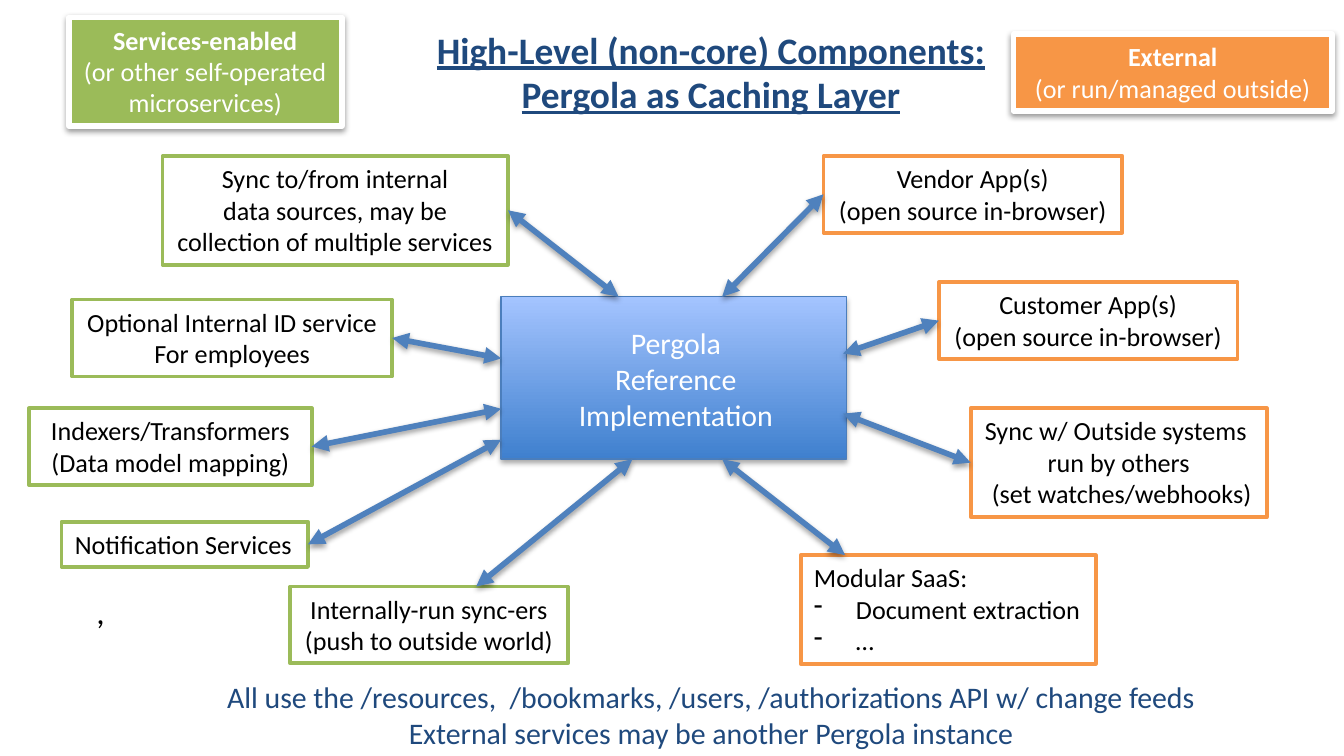
from lxml import etree
from pptx import Presentation
from pptx import util as u
from pptx.dml.color import RGBColor
from pptx.enum import shapes, text
from pptx.oxml.ns import qn

THEME = {
    "font": "Calibri",
    "white": "FFFFFF", "black": "000000", "navy": "1F497D",
    "green": "9BBB59", "orange": "F79646", "arrow": "4F81BD",
    "hub_line": "4B7EBC", "hub_bottom": "3F80CE", "hub_top": "A4C4FF",
    "title": 20, "mark": 18, "large": 16, "body": 14,
}

# Boxes and ports: all lengths in points; a port is a fraction of width and height.
HUB = (268.5, 159, 185, 87)
HUB_LINES = ["Pergola", "Reference", "Implementation"]
LEFT, RIGHT = (0, 0.5), (1, 0.5)

# colour, box, lines, port on the box, port on the hub
SERVICES = [
    ("green", (87.1, 83.5, 185, 58.3),
     ["Sync to/from internal", " data sources, may be ", "collection of multiple services"],
     RIGHT, (0.34, 0)),
    ("green", (38.7, 160.5, 171.4, 41.2),
     ["Optional Internal ID service", "For employees"], RIGHT, (0, 0.38)),
    ("green", (15.6, 218.7, 151.4, 41.2),
     ["Indexers/Transformers", "(Data model mapping)"], RIGHT, (0, 0.69)),
    ("green", (33, 279.5, 132, 24.3), ["Notification Services"], RIGHT, (0, 0.88)),
    ("green", (155.5, 314.2, 148.7, 41.2),
     ["Internally-run sync-ers", "(push to outside world)"], (0.67, 0), (0.38, 1)),
    ("orange", (441.2, 83.5, 160, 41.2),
     ["Vendor App(s)", "(open source in-browser)"], LEFT, (0.64, 0)),
    ("orange", (503, 151.2, 160, 41.2),
     ["Customer App(s)", "(open source in-browser)"], LEFT, (0.99, 0.35)),
    ("orange", (520, 218.7, 158.7, 58.3),
     ["Sync w/ Outside systems ", "run by others", " (set watches/webhooks)"],
     LEFT, (0.99, 0.72)),
    ("orange", (429, 297.4, 158, 58.3),
     ["Modular SaaS:", "- Document extraction", "- …"], (0.15, 0), (0.64, 1)),
]
LEFT_ALIGNED = {"Notification Services", "Modular SaaS:"}

LEGENDS = [
    ("green", (36.9, 9.3, 146.2, 58.3),
     ["Services-enabled", "(or other self-operated", "microservices)"]),
    ("orange", (543, 18.3, 170.6, 41.2), ["External", "(or run/managed outside)"]),
]
TITLE = ["High-Level (non-core) Components:", "Pergola as Caching Layer"]
FOOTER = ["All use the /resources,  /bookmarks, /users, /authorizations API w/ change feeds",
          "External services may be another Pergola instance"]


def rgb(name):
    return RGBColor.from_string(THEME[name])


def points(values):
    return [u.Pt(value) for value in values]


def set_effects(item, opacity=0, distance=1.6):
    """Replace the theme's shadow: none at opacity 0, else one falling straight down."""
    effects = etree.SubElement(item._element.spPr, qn("a:effectLst"))
    if opacity:
        shadow = etree.SubElement(effects, qn("a:outerShdw"), blurRad=str(u.Pt(3.1)),
                                  dist=str(u.Pt(distance)), dir="5400000", rotWithShape="0")
        color = etree.SubElement(shadow, qn("a:srgbClr"), val=THEME["black"])
        etree.SubElement(color, qn("a:alpha"), val=str(opacity * 1000))


def set_dash_bullet(para):
    props = para._p.get_or_add_pPr()
    props.set("marL", str(u.Pt(22.5)))
    props.set("indent", str(-u.Pt(22.5)))
    etree.SubElement(props, qn("a:buChar"), char="-")


def write(shape, lines, size, color, centered=True, wrap=False, bold_first=False):
    frame = shape.text_frame
    frame.word_wrap = wrap
    frame.vertical_anchor = text.MSO_ANCHOR.TOP
    for index, line in enumerate(lines):
        para = frame.paragraphs[0] if index == 0 else frame.add_paragraph()
        para.alignment = text.PP_ALIGN.CENTER if centered else text.PP_ALIGN.LEFT
        para.font.name = THEME["font"]
        para.font.size = u.Pt(THEME[size])
        para.font.color.rgb = rgb(color)
        para.font.bold = bold_first and index == 0
        if line.startswith("- "):
            set_dash_bullet(para)
        para.add_run().text = line.removeprefix("- ")


def add_text(page, box, *args, **options):
    shape = page.shapes.add_textbox(*points(box))
    write(shape, *args, **options)
    return shape


def add_box(page, box, fill, line, width):
    shape = page.shapes.add_shape(shapes.MSO_SHAPE.RECTANGLE, *points(box))
    if fill:
        shape.fill.solid()
        shape.fill.fore_color.rgb = rgb(fill)
    else:
        shape.fill.gradient()
        shape.fill.gradient_angle = 90
        for stop, color in zip(shape.fill.gradient_stops, ("hub_bottom", "hub_top")):
            stop.color.rgb = rgb(color)
    shape.line.color.rgb = rgb(line)
    shape.line.width = u.Pt(width)
    return shape


def port_position(box, port):
    left, top, width, height = box
    return left + port[0] * width, top + port[1] * height


def add_arrow(page, start, end):
    arrow = page.shapes.add_connector(shapes.MSO_CONNECTOR.STRAIGHT, *points(start + end))
    arrow.line.color.rgb = rgb("arrow")
    arrow.line.width = u.Pt(3)
    for tag in ("a:headEnd", "a:tailEnd"):
        etree.SubElement(arrow.line._get_or_add_ln(), qn(tag), type="triangle")
    set_effects(arrow, 38)


def main():
    deck = Presentation()
    deck.slide_width, deck.slide_height = points((720, 405))
    page = deck.slides.add_slide(deck.slide_layouts[6])

    hub = add_box(page, HUB, None, "hub_line", 0.75)
    set_effects(hub, 35, 1.8)
    add_text(page, (232.5, 170.6, 259.2, 65.5), HUB_LINES, "large", "white", wrap=True)

    for color, box, lines, _, _ in SERVICES:
        shape = add_box(page, box, "white", color, 2)
        set_effects(shape)
        write(shape, lines, "body", "black", centered=lines[0] not in LEFT_ALIGNED)

    for color, box, lines in LEGENDS:
        shape = add_box(page, box, color, "white", 3)
        set_effects(shape, 38)
        write(shape, lines, "body", "white", bold_first=True)

    for _, box, _, port, hub_port in SERVICES:
        add_arrow(page, port_position(box, port), port_position(HUB, hub_port))

    add_text(page, (110, 360, 542, 46), FOOTER, "large", "navy")
    add_text(page, (44.6, 313.2, 18.7, 28.8), [","], "mark", "black", centered=False)
    title = add_text(page, (201.6, 10.8, 358.6, 55.4), TITLE, "title", "navy", wrap=True)
    for para in title.text_frame.paragraphs:
        para.font.bold = para.font.underline = True

    deck.save("out.pptx")


if __name__ == "__main__":
    main()
